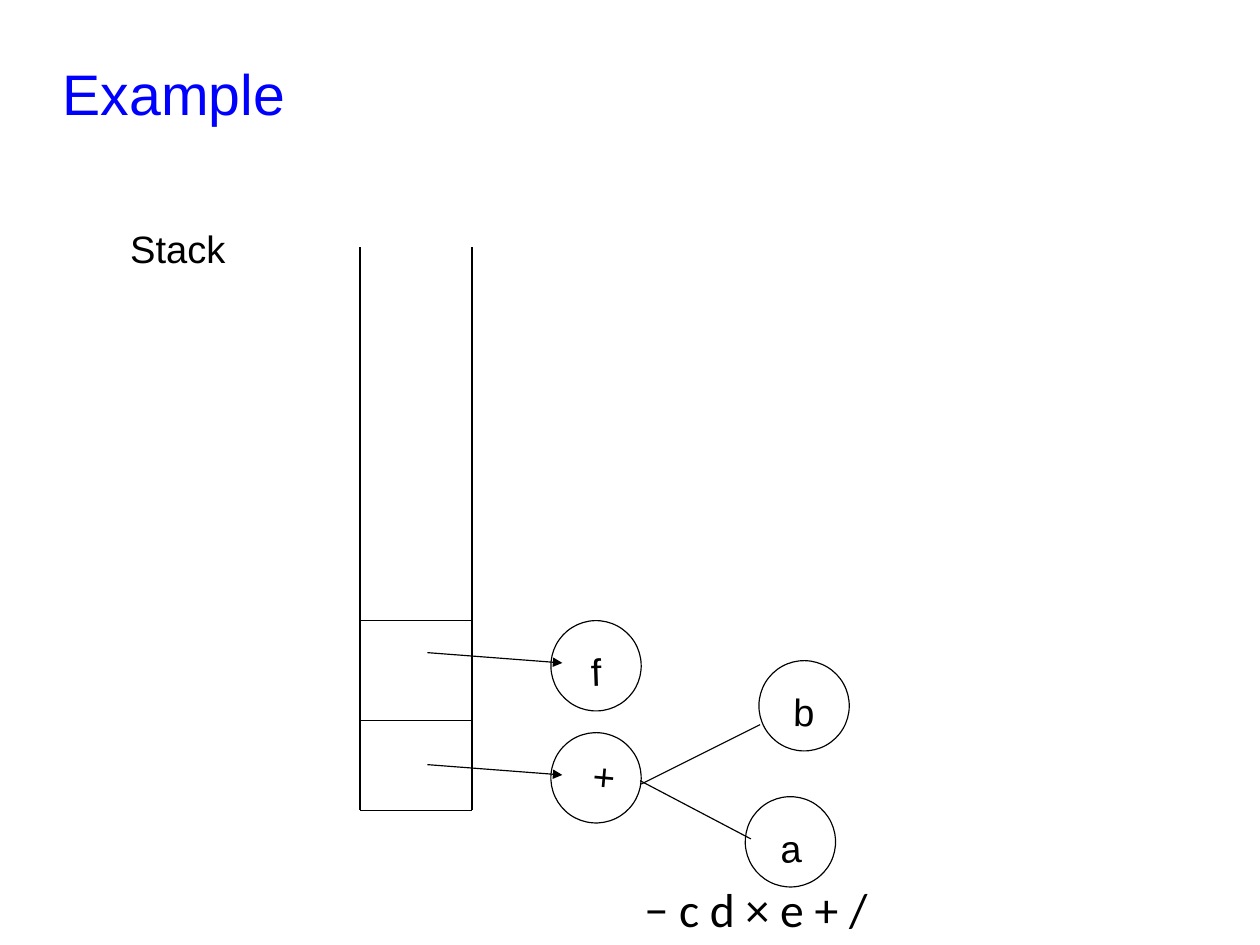
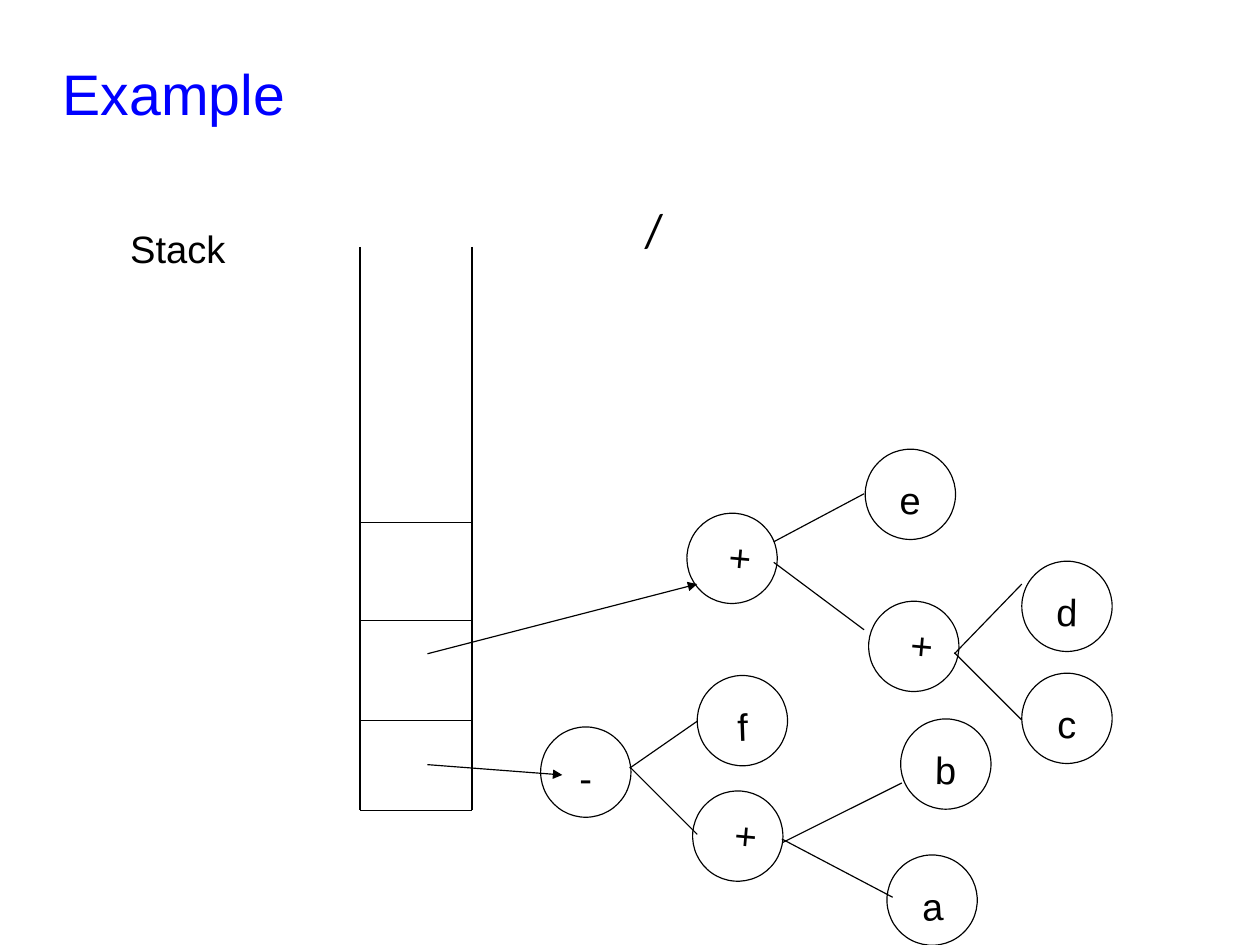
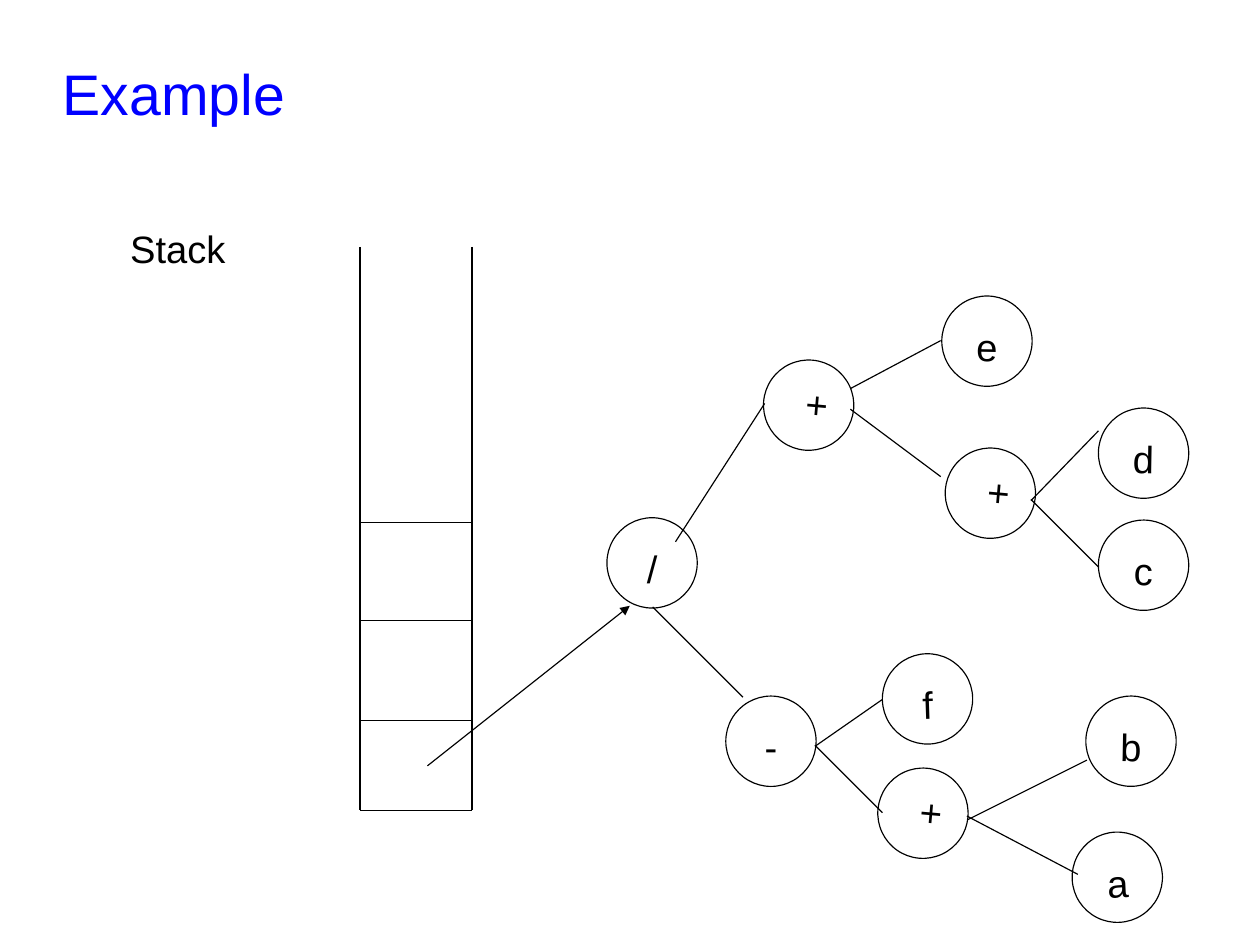
from dataclasses import dataclass

import pptx
import pptx.dml.color
import pptx.enum.shapes
import pptx.enum.text
import pptx.oxml
import pptx.oxml.ns
import pptx.presentation
import pptx.shapes.base
import pptx.slide
import pptx.util

Inches = pptx.util.Inches
Anchor = pptx.enum.text.MSO_ANCHOR
Align = pptx.enum.text.PP_ALIGN

# The page measures 28 by 21 centimetres.
PAGE_WIDTH, PAGE_HEIGHT = Inches(28 / 2.54), Inches(21 / 2.54)

BLACK = "000000"
BLUE = "0000FF"
LINE_WIDTH = 0.75
NODE_SIZE = 0.79
NODE_ANGLES = {"+": 275, "a": 357, "b": 1, "c": 1, "d": 1, "e": 1, "f": 358}

STACK_LEFT, STACK_RIGHT = 3.15, 4.13
STACK_TOP, STACK_BOTTOM = 2.16, 7.09
STACK_LEVELS = (6.3, 5.43, 4.57)


@dataclass(frozen=True)
class Node:
    label: str
    left: float
    top: float


@dataclass(frozen=True)
class Edge:
    x1: float
    y1: float
    x2: float
    y2: float
    arrow: bool = False


@dataclass(frozen=True)
class Tree:
    """Nodes and edges, measured from the corner of the first node."""
    nodes: tuple[Node, ...]
    edges: tuple[Edge, ...] = ()


@dataclass(frozen=True)
class Placement:
    tree: Tree
    left: float
    top: float


@dataclass(frozen=True)
class Remainder:
    """Input symbols that are still to be read."""
    text: str
    top: float


@dataclass(frozen=True)
class Step:
    levels: int
    placements: tuple[Placement, ...]
    links: tuple[Edge, ...]
    remainder: Remainder | None = None


A_PLUS_B = Tree(
    (Node("+", 0, 0), Node("b", 1.82, -0.63), Node("a", 1.7, 0.56)),
    (Edge(1.75, 0.93, 0.78, 0.42), Edge(0.79, 0.45, 1.83, -0.07)),
)
C_D_E = Tree(
    (Node("+", 0, 0), Node("e", 1.56, -0.56), Node("+", 1.59, 0.77),
     Node("d", 2.93, 0.42), Node("c", 2.93, 1.4)),
    (Edge(0.76, 0.25, 1.55, -0.17), Edge(0.76, 0.43, 1.55, 1.02),
     Edge(2.34, 1.22, 2.93, 1.81), Edge(2.34, 1.23, 2.93, 0.62)),
)
F_LEAF = Tree((Node("f", 0, 0),))
F_BRANCH = Tree(F_LEAF.nodes, (Edge(-0.59, 0.81, 0, 0.4), Edge(-0.59, 0.8, 0, 1.39)))
MINUS = Tree((Node("-", 0, 0),))
DIVIDE = Tree((Node("/", 0, 0),))

STEPS = (
    Step(
        2,
        (Placement(A_PLUS_B, 4.82, 6.41), Placement(F_LEAF, 4.82, 5.43)),
        (Edge(3.74, 6.69, 4.92, 6.78, True), Edge(3.74, 5.71, 4.92, 5.8, True)),
        Remainder("− c d × e + /", 7.68),
    ),
    Step(
        3,
        (Placement(A_PLUS_B, 6.06, 6.92), Placement(F_BRANCH, 6.1, 5.91),
         Placement(MINUS, 4.73, 6.36), Placement(C_D_E, 6.01, 4.49)),
        (Edge(3.74, 6.69, 4.92, 6.78, True), Edge(3.74, 5.72, 6.1, 5.11, True)),
        Remainder("/", 1.73),
    ),
    Step(
        3,
        (Placement(A_PLUS_B, 7.68, 6.72), Placement(F_BRANCH, 7.72, 5.72),
         Placement(MINUS, 6.35, 6.09), Placement(C_D_E, 6.68, 3.15),
         Placement(DIVIDE, 5.31, 4.53)),
        (Edge(3.74, 6.7, 5.51, 5.3, True), Edge(5.91, 4.74, 6.69, 3.53),
         Edge(5.71, 5.31, 6.5, 6.1)),
    ),
)


def color(value: str) -> pptx.dml.color.RGBColor:
    return pptx.dml.color.RGBColor.from_string(value)


def write_text(shape: pptx.shapes.base.BaseShape, text: str, *, size: float = 24,
               font: str = "Arial", fill: str = BLACK, align: Align = Align.LEFT,
               anchor: Anchor = Anchor.TOP, spacing: float = 1.24,
               insets: tuple[float, float] = (0, 0), wrap: bool = True) -> None:
    frame = shape.text_frame
    frame.word_wrap = wrap
    frame.vertical_anchor = anchor
    frame.margin_left = frame.margin_right = Inches(insets[0])
    frame.margin_top = frame.margin_bottom = Inches(insets[1])
    para = frame.paragraphs[0]
    para.alignment = align
    para.line_spacing = spacing
    span = para.add_run()
    span.text = text
    span.font.name = font
    span.font.size = pptx.util.Pt(size)
    span.font.color.rgb = color(fill)


def add_box(page: pptx.slide.Slide, left: float, top: float, width: float,
            height: float) -> pptx.shapes.base.BaseShape:
    return page.shapes.add_textbox(Inches(left), Inches(top), Inches(width), Inches(height))


def draw_edge(page: pptx.slide.Slide, edge: Edge, left: float = 0, top: float = 0) -> None:
    connector = page.shapes.add_connector(
        pptx.enum.shapes.MSO_CONNECTOR.STRAIGHT,
        Inches(left + edge.x1), Inches(top + edge.y1),
        Inches(left + edge.x2), Inches(top + edge.y2))
    connector.line.color.rgb = color(BLACK)
    connector.line.width = pptx.util.Pt(LINE_WIDTH)
    properties = connector.element.spPr
    if edge.arrow:
        head = pptx.oxml.parse_xml(
            f'<a:tailEnd {pptx.oxml.ns.nsdecls("a")} type="triangle"/>')
        properties.find(pptx.oxml.ns.qn("a:ln")).append(head)
    properties.append(pptx.oxml.parse_xml(f'<a:effectLst {pptx.oxml.ns.nsdecls("a")}/>'))


def draw_node(page: pptx.slide.Slide, node: Node, left: float, top: float) -> None:
    circle = page.shapes.add_shape(
        pptx.enum.shapes.MSO_SHAPE.OVAL, Inches(left + node.left), Inches(top + node.top),
        Inches(NODE_SIZE), Inches(NODE_SIZE))
    circle.shadow.inherit = False
    circle.fill.background()
    circle.line.color.rgb = color(BLACK)
    circle.line.width = pptx.util.Pt(LINE_WIDTH)
    circle.rotation = NODE_ANGLES.get(node.label, 0)
    write_text(circle, node.label, align=Align.CENTER, anchor=Anchor.MIDDLE,
               insets=(0.1, 0.05), wrap=False)


def draw_tree(page: pptx.slide.Slide, placement: Placement) -> None:
    for node in placement.tree.nodes:
        draw_node(page, node, placement.left, placement.top)
    for edge in placement.tree.edges:
        draw_edge(page, edge, placement.left, placement.top)


def draw_stack(page: pptx.slide.Slide, levels: int) -> None:
    write_text(add_box(page, 0.98, 1.77, 1.16, 0.71), "Stack", insets=(0.16, 0.11))
    for x in (STACK_LEFT, STACK_RIGHT):
        draw_edge(page, Edge(x, STACK_TOP, x, STACK_BOTTOM))
    for y in (STACK_BOTTOM, *STACK_LEVELS[:levels]):
        draw_edge(page, Edge(STACK_LEFT, y, STACK_RIGHT, y))


def add_step(deck: pptx.presentation.Presentation, step: Step) -> None:
    page = deck.slides.add_slide(deck.slide_layouts[6])
    write_text(add_box(page, 0.55, 0.33, 9.89, 0.82), "Example", size=36, fill=BLUE,
               anchor=Anchor.MIDDLE)
    draw_stack(page, step.levels)
    for placement in step.placements:
        draw_tree(page, placement)
    for link in step.links:
        draw_edge(page, link)
    if step.remainder:
        write_text(add_box(page, 5.64, step.remainder.top, 5.19, 0.52),
                   step.remainder.text, size=30, font="Calibri", spacing=1.03)


def main() -> None:
    deck = pptx.Presentation()
    deck.slide_width, deck.slide_height = PAGE_WIDTH, PAGE_HEIGHT
    for step in STEPS:
        add_step(deck, step)
    deck.save("out.pptx")


if __name__ == "__main__":
    main()
